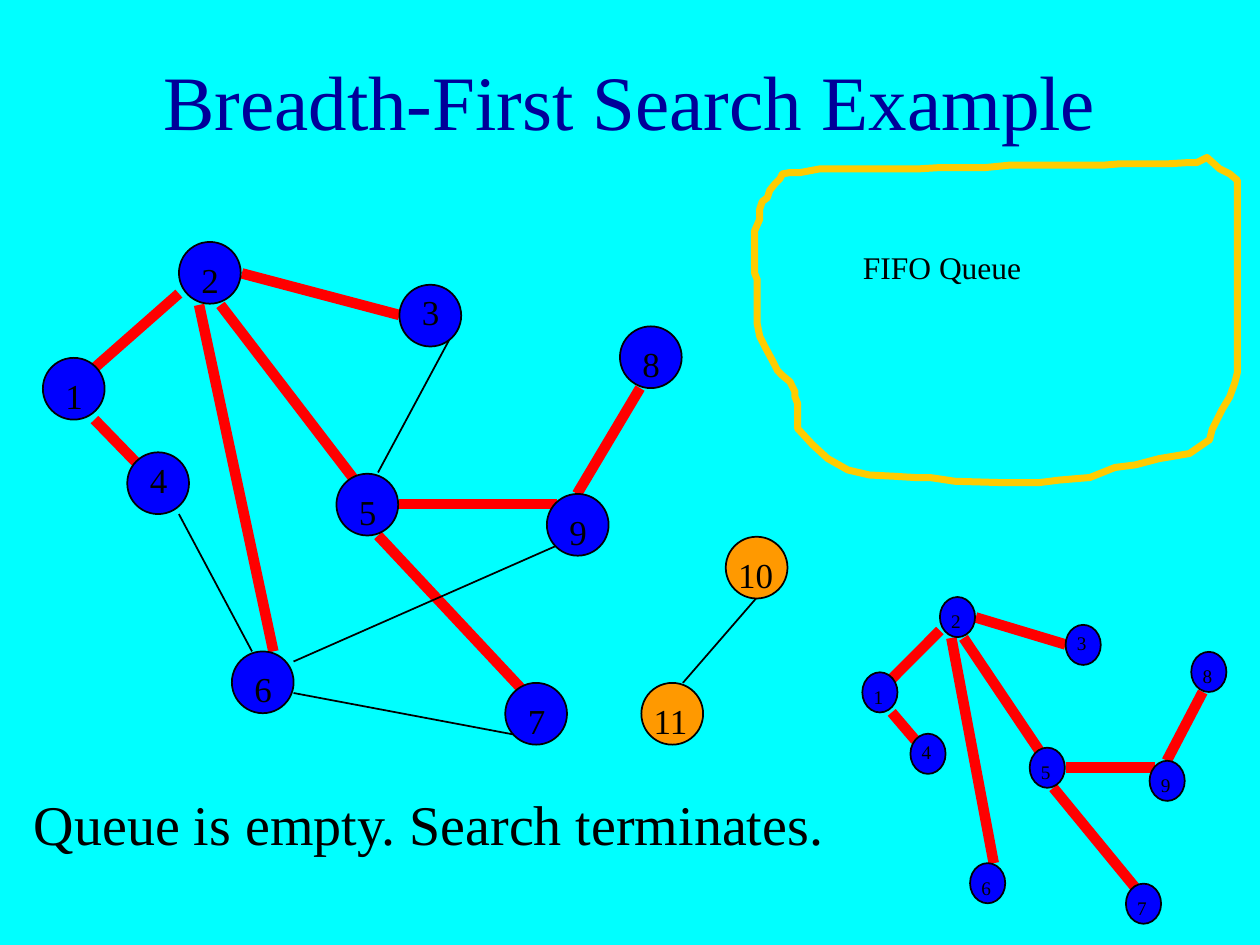
import pptx
import pptx.dml.color
import pptx.enum.shapes
import pptx.enum.text
import pptx.oxml
import pptx.oxml.ns
import pptx.util
from pptx.util import Inches

THEME = {
    "font": "Times New Roman",
    "background": "00FFFF",
    "title": "000099",
    "text": "000000",
    "visited": "0000FF",
    "unreached": "FF9900",
    "tree_edge": "FF0000",
    "queue": "FFCC00",
    "title_size": 44,
    "message_size": 32,
    "queue_size": 18,
    "node_size": 20,
    "small_node_size": 11,
    "thin": 1,
    "queue_width": 4,
    "thick": 6,
}


def color(name):
    return pptx.dml.color.RGBColor.from_string(THEME[name])


def write_text(shape, text, size, color_name="text", **frame_format):
    frame = shape.text_frame
    frame_format = {"word_wrap": True, **frame_format}
    for name, value in frame_format.items():
        setattr(frame, name, value)
    paragraph = frame.paragraphs[0]
    run = paragraph.add_run()
    run.text = text
    font_format = {"name": THEME["font"], "size": pptx.util.Pt(THEME[size]), "bold": False}
    for name, value in font_format.items():
        setattr(run.font, name, value)
    run.font.color.rgb = color(color_name)
    return paragraph


NODE_DIAMETER = 0.49
NODES = {
    "1": (0.34, 2.84), "2": (1.42, 1.92), "4": (1.01, 3.59),
    "5": (2.67, 3.76), "3": (3.17, 2.26), "6": (1.84, 5.17),
    "9": (4.34, 3.92), "7": (4.01, 5.42), "8": (4.92, 2.59),
    "10": (5.76, 4.26), "11": (5.09, 5.42),
}
UNREACHED = ("10", "11")
HIGH_LABELS = ("3", "4")

TREE_EDGES = [
    (1.42, 2.33, 0.75, 2.92),
    (1.75, 2.42, 2.83, 3.83),
    (0.75, 3.33, 1.08, 3.67),
    (3, 4.25, 4.17, 5.5),
    (5.08, 3.08, 4.58, 3.92),
    (3.17, 4, 4.42, 4),
    (1.92, 2.17, 3.17, 2.5),
    (1.58, 2.42, 2.17, 5.17),
]
OTHER_EDGES = [
    (1.42, 4.08, 2, 5.17),
    (2.33, 5.5, 4.08, 5.83),
    (3.58, 2.67, 3, 3.75),
    (5.42, 5.42, 6, 4.75),
    (2.33, 5.25, 4.42, 4.33),
]
GRAPHS = [
    {"origin": (0, 0), "scale": (1, 1), "size": "node_size", "tree_only": False},
    {"origin": (6.65, 3.49), "scale": (0.57, 0.65), "size": "small_node_size", "tree_only": True},
]
QUEUE_OUTLINE = [
    (958, 125), (950, 129), (944, 129), (928, 130), (889, 130), (877, 131),
    (802, 131), (782, 133), (746, 133), (730, 134), (651, 134), (635, 137),
    (627, 137), (621, 138), (619, 142), (615, 146), (611, 151), (609, 157),
    (605, 160), (603, 166), (603, 174), (599, 183), (599, 217), (601, 222),
    (601, 257), (603, 267), (607, 275), (613, 286), (617, 294), (621, 298),
    (627, 303), (631, 311), (631, 315), (633, 320), (633, 340), (645, 353),
    (657, 364), (673, 373), (690, 377), (710, 378), (726, 379), (738, 379),
    (758, 382), (794, 383), (825, 383), (841, 381), (865, 379), (885, 371),
    (901, 369), (920, 364), (932, 362), (944, 360), (960, 349), (962, 341),
    (966, 333), (970, 325), (976, 315), (980, 304), (982, 296), (982, 143),
    (976, 138), (968, 134),
]

presentation = pptx.Presentation()
presentation.slide_width = Inches(10)
presentation.slide_height = Inches(7.5)
slide = presentation.slides.add_slide(presentation.slide_layouts[5])
slide.background.fill.solid()
slide.background.fill.fore_color.rgb = color("background")

title = slide.shapes.title
title_position = {"left": 0.75, "top": 0.17, "width": 8.5, "height": 1.25}
for name, value in title_position.items():
    setattr(title, name, Inches(value))
paragraph = write_text(
    title, "Breadth-First Search Example", "title_size", "title",
    vertical_anchor=pptx.enum.text.MSO_ANCHOR.MIDDLE,
)
paragraph.alignment = pptx.enum.text.PP_ALIGN.CENTER

message = slide.shapes.add_textbox(Inches(0.17), Inches(6.22), Inches(9.83), Inches(0.78))
write_text(message, "Queue is empty. Search terminates.", "message_size")

queue_label = slide.shapes.add_textbox(Inches(6.75), Inches(1.92), Inches(3.08), Inches(1.43))
write_text(queue_label, "FIFO Queue", "queue_size")

builder = slide.shapes.build_freeform(*QUEUE_OUTLINE[0], scale=Inches(0.01))
builder.add_line_segments(QUEUE_OUTLINE[1:], close=True)
queue = builder.convert_to_shape()
queue.shadow.inherit = False
queue.fill.background()
queue.line.color.rgb = color("queue")
queue.line.width = pptx.util.Pt(THEME["queue_width"])

for graph in GRAPHS:
    origin_x, origin_y = graph["origin"]
    scale_x, scale_y = graph["scale"]

    edges = [(edge, "tree_edge", "thick") for edge in TREE_EDGES]
    if not graph["tree_only"]:
        edges += [(edge, "text", "thin") for edge in OTHER_EDGES]
    for (x1, y1, x2, y2), color_name, width in edges:
        connector = slide.shapes.add_connector(
            pptx.enum.shapes.MSO_CONNECTOR.STRAIGHT,
            Inches(origin_x + scale_x * x1), Inches(origin_y + scale_y * y1),
            Inches(origin_x + scale_x * x2), Inches(origin_y + scale_y * y2),
        )
        connector.line.color.rgb = color(color_name)
        connector.line.width = pptx.util.Pt(THEME[width])
        properties = connector._element.spPr
        properties.append(pptx.oxml.parse_xml(f"<a:effectLst {pptx.oxml.ns.nsdecls('a')}/>"))

    for label, (x, y) in NODES.items():
        unreached = label in UNREACHED
        if unreached and graph["tree_only"]:
            continue
        left = origin_x + scale_x * x
        top = origin_y + scale_y * y
        node = slide.shapes.add_shape(
            pptx.enum.shapes.MSO_SHAPE.OVAL, Inches(left), Inches(top),
            Inches(scale_x * NODE_DIAMETER), Inches(scale_y * NODE_DIAMETER),
        )
        node.shadow.inherit = False
        node.fill.solid()
        node.fill.fore_color.rgb = color("unreached" if unreached else "visited")
        node.line.color.rgb = color("text")
        node.line.width = pptx.util.Pt(THEME["thin"])

        label_x = 0 if unreached else 0.08
        label_y = 0 if label in HIGH_LABELS else 0.08
        label_box = slide.shapes.add_textbox(
            Inches(left + scale_x * label_x), Inches(top + scale_y * label_y),
            Inches(scale_x * (0.5 if unreached else 0.25)), Inches(scale_y * 0.43),
        )
        write_text(
            label_box, label, graph["size"],
            auto_size=pptx.enum.text.MSO_AUTO_SIZE.SHAPE_TO_FIT_TEXT,
        )

presentation.save("out.pptx")
